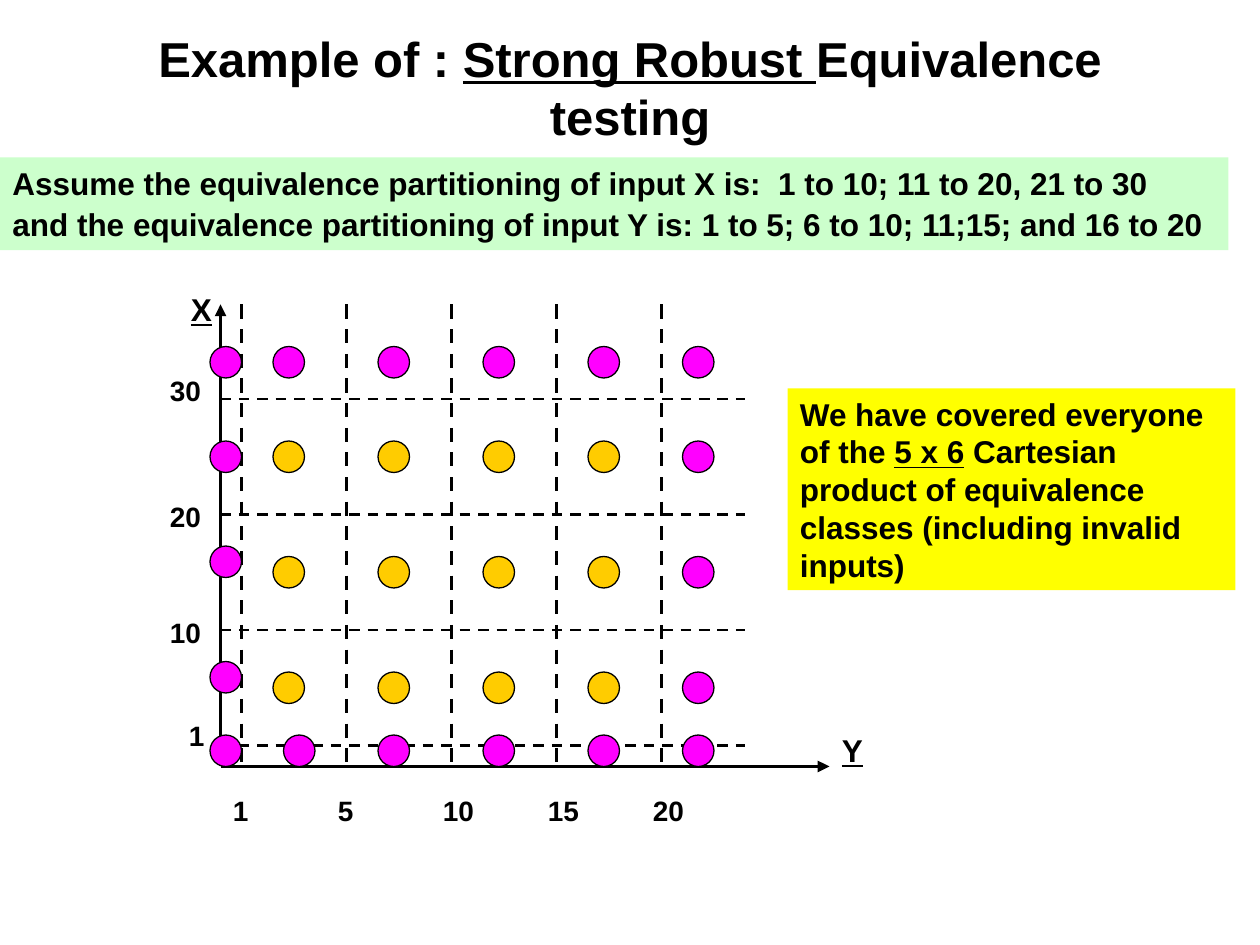
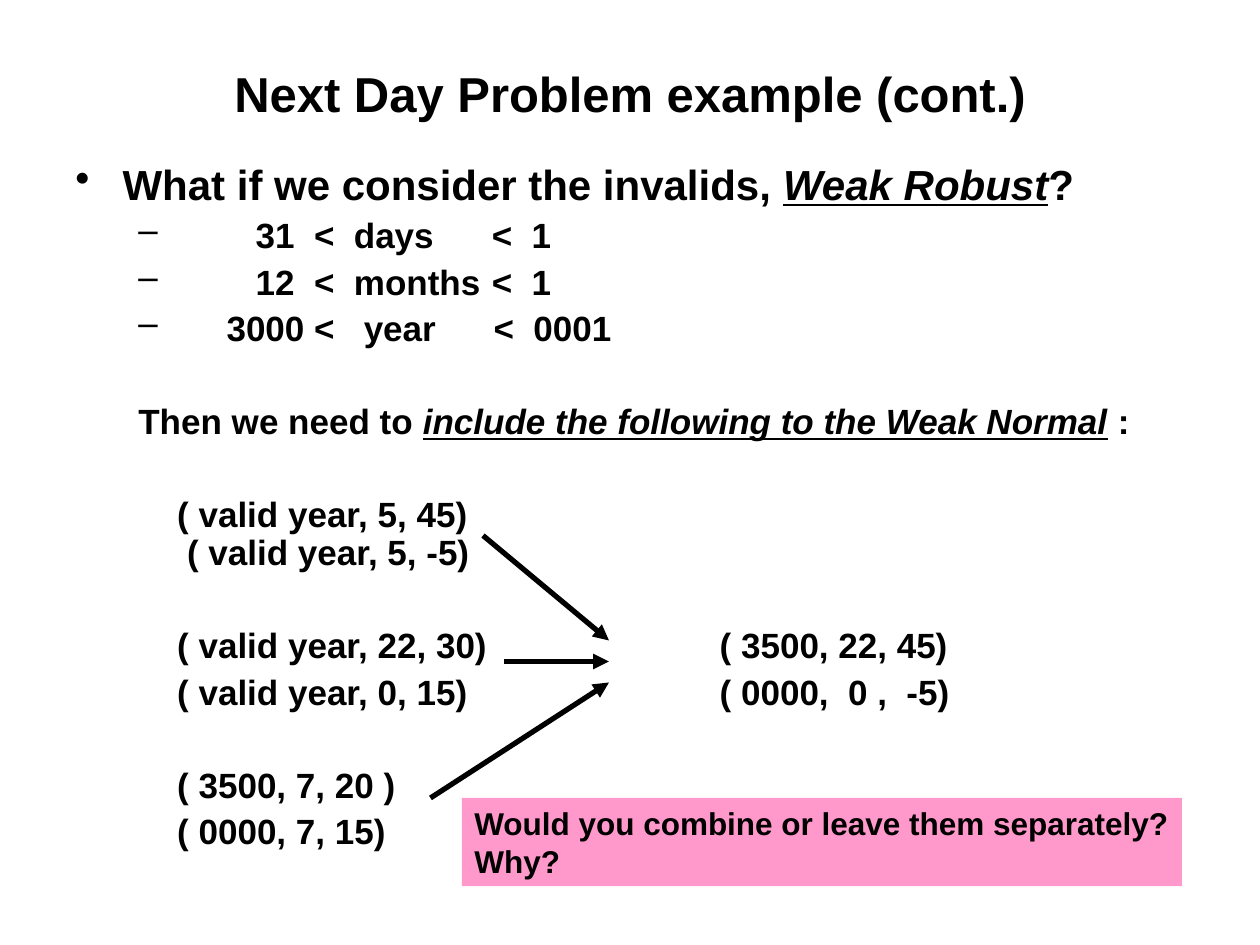
"""Build two slides on equivalence class testing."""
from dataclasses import dataclass
from typing import NamedTuple

from pptx import Presentation
from pptx.dml.color import RGBColor
from pptx.enum.dml import MSO_LINE
from pptx.enum.shapes import MSO_CONNECTOR, MSO_SHAPE
from pptx.enum.text import MSO_ANCHOR, MSO_AUTO_SIZE, PP_ALIGN
from pptx.oxml.ns import qn
from pptx.util import Pt
from lxml.etree import SubElement

COLORS = {
    "ink": "000000",
    "assumption": "CCFFCC",
    "coverage": "FFFF00",
    "question": "FF99CC",
    "valid": "FFCC00",
    "invalid": "FF00FF",
}
FONT = "Arial"
LEADING = 1.2
TIGHT = 1.08
ROW_GAP = 5
SECTION_GAP = 31.6
DOT = 18


class Span(NamedTuple):
    text: str
    underline: bool = False
    italic: bool = False


class Frame(NamedTuple):
    left: float
    top: float
    width: float
    height: float


@dataclass
class Para:
    spans: list[Span]
    size: float = 18
    before: float = 0
    left: float = 0
    hang: float = 0
    bullet: str = ""
    leading: float = LEADING
    align: PP_ALIGN = PP_ALIGN.LEFT


@dataclass
class Segment:
    start: tuple[float, float]
    end: tuple[float, float]
    weight: float
    dashed: bool = False
    arrow: bool = False


def color(name: str) -> RGBColor:
    return RGBColor.from_string(COLORS[name])


def plain(text: str, **options) -> Para:
    return Para([Span(text)], **options)


def write(text_frame, paras: list[Para]) -> None:
    for index, item in enumerate(paras):
        para = text_frame.paragraphs[0] if index == 0 else text_frame.add_paragraph()
        properties = para._p.get_or_add_pPr()
        properties.set("marL", str(Pt(item.left)))
        properties.set("indent", str(Pt(-item.hang)))
        if item.bullet:
            SubElement(properties, qn("a:buChar")).set("char", item.bullet)
        else:
            SubElement(properties, qn("a:buNone"))
        para.alignment = item.align
        para.line_spacing = Pt(round(item.size * item.leading, 1))
        para.space_before = Pt(item.before)
        for span in item.spans:
            run = para.add_run()
            run.text = span.text
            run.font.name = FONT
            run.font.size = Pt(item.size)
            run.font.bold = True
            run.font.italic = span.italic
            run.font.underline = span.underline
            run.font.color.rgb = color("ink")


def add_text(page, frame: Frame, paras: list[Para], fill: str = "", wrap: bool = False) -> None:
    box = page.shapes.add_textbox(*map(Pt, frame))
    if fill:
        box.fill.solid()
        box.fill.fore_color.rgb = color(fill)
    box.text_frame.word_wrap = wrap
    write(box.text_frame, paras)


def add_page(deck, title_height: float, title: list[Span]):
    page = deck.slides.add_slide(deck.slide_layouts[5])
    box = page.shapes.title
    box.left, box.top, box.width, box.height = map(Pt, (36, 21.6, 648, title_height))
    box.text_frame.auto_size = MSO_AUTO_SIZE.NONE
    box.text_frame.vertical_anchor = MSO_ANCHOR.MIDDLE
    write(box.text_frame, [Para(title, size=28, align=PP_ALIGN.CENTER)])
    return page


def add_segment(page, segment: Segment) -> None:
    line = page.shapes.add_connector(
        MSO_CONNECTOR.STRAIGHT, *map(Pt, segment.start + segment.end))
    line.line.color.rgb = color("ink")
    line.line.width = Pt(segment.weight)
    if segment.dashed:
        line.line.dash_style = MSO_LINE.DASH
    if segment.arrow:
        SubElement(line.line._get_or_add_ln(), qn("a:tailEnd")).set("type", "triangle")
    SubElement(line._element.spPr, qn("a:effectLst"))


def add_dot(page, left: float, top: float, fill: str) -> None:
    dot = page.shapes.add_shape(MSO_SHAPE.OVAL, *map(Pt, (left, top, DOT, DOT)))
    dot.shadow.inherit = False
    dot.fill.solid()
    dot.fill.fore_color.rgb = color(fill)
    dot.line.color.rgb = color("ink")
    dot.line.width = Pt(0.75)


def add_label(page, left: float, top: float, text: str) -> None:
    frame = Frame(left, top, 14.4 + 8.9 * len(text), 26.6)
    add_text(page, frame, [plain(text, size=16)])


def draw_grid(page) -> None:
    origin = (126, 438)
    add_segment(page, Segment(origin, (126, 174), 2.25, arrow=True))
    add_segment(page, Segment(origin, (474, 438), 2.25, arrow=True))
    for left, top, name in ((102, 162, "X"), (474, 414, "Y")):
        add_text(page, Frame(left, top, 26.4, 28.8), [Para([Span(name, underline=True)])])

    for row in range(4):
        height = 426 - 66 * row
        add_segment(page, Segment((126, height), (426, height), 1.5, dashed=True))
    for column, text in enumerate(("1", "5", "10", "15", "20")):
        across = 138 + 60 * column
        add_segment(page, Segment((across, 174), (across, 438), 2, dashed=True))
        add_label(page, across - 12, 450, text)
    for left, top, text in ((100.8, 407, "1"), (90, 348, "10"), (90, 282, "20"), (90, 210, "30")):
        add_label(page, left, top, text)

    inner_columns = [156 + 60 * column for column in range(4)]
    inner_rows = [252 + 66 * row for row in range(3)]
    for top in inner_rows:
        for left in inner_columns:
            add_dot(page, left, top, "valid")
        add_dot(page, 390, top, "invalid")
    for top in (198, 252, 312, 378, 420):
        add_dot(page, 120, top, "invalid")
    for left in inner_columns + [390]:
        add_dot(page, left, 198, "invalid")
    for left in [162] + inner_columns[1:] + [390]:
        add_dot(page, left, 420, "invalid")


def build_strong_robust(deck) -> None:
    page = add_page(deck, 56.2, [
        Span("Example of : "), Span("Strong Robust ", underline=True),
        Span("Equivalence testing")])
    add_text(page, Frame(0, 90, 702, 53), [
        plain("Assume the equivalence partitioning of input X is:  1 to 10; 11 to 20, 21 to 30"),
        plain("and the equivalence partitioning of input Y is: "
              "1 to 5; 6 to 10; 11;15; and 16 to 20 ", before=1.8),
    ], "assumption", wrap=True)
    draw_grid(page)
    add_text(page, Frame(450, 222, 256, 115.2), [
        plain("We have covered everyone"),
        Para([Span("of the "), Span("5 x 6", underline=True),
              Span(" Cartesian product of equivalence")]),
        plain("classes (including invalid"),
        plain("inputs)"),
    ], "coverage", wrap=True)


def body_row(text: str, before: float = ROW_GAP, left: float = 58.2, **options) -> Para:
    return plain(text, size=20, before=before, left=left, leading=TIGHT, **options)


def limit_row(text: str, left: float) -> Para:
    return body_row(text, left=left, hang=left - 36, bullet="–")


def build_next_day(deck) -> None:
    page = add_page(deck, 62.6, [Span("Next Day Problem example (cont.)")])
    add_text(page, Frame(36, 90, 648, 405), [
        Para([Span("What if we consider the invalids, "),
              Span("Weak Robust", underline=True, italic=True), Span("?")],
             size=24, left=27, hang=27, bullet="•", leading=TIGHT),
        limit_row("31  <  days", 103),
        limit_row("12  <  months", 103),
        limit_row("3000 <   year", 86.4),
        Para([Span("Then we need to "),
              Span("include the following to the Weak Normal", underline=True, italic=True),
              Span(" :")],
             size=20, before=SECTION_GAP, left=36, leading=TIGHT),
        body_row("( valid year, 5, 45)", SECTION_GAP),
        body_row("( valid year, 5, -5)", 0, left=63.8),
        body_row("( valid year, 22, 30)", SECTION_GAP),
        body_row("( valid year, 0, 15)"),
        body_row("( 3500, 7, 20 )", SECTION_GAP),
        body_row("( 0000, 7, 15)"),
    ], wrap=True)
    add_text(page, Frame(274, 121, 100, 82), [
        body_row("<  1", 0, left=0),
        body_row("<  1", left=0),
        body_row("<  0001", left=1),
    ], wrap=True)
    add_text(page, Frame(404.2, 355.2, 180, 56), [
        body_row("( 3500, 22, 45)", 0, left=0),
        body_row("( 0000,  0 ,  -5)", left=0),
    ], wrap=True)
    for start, end in (((276, 306), (348, 366)), ((288, 378), (348, 378)),
                       ((246, 456), (348, 390))):
        add_segment(page, Segment(start, end, 3, arrow=True))
    add_text(page, Frame(264, 456, 411.4, 50.4), [
        plain("Would you combine or leave them separately?"),
        plain("Why?"),
    ], "question")


def main() -> None:
    deck = Presentation()
    deck.slide_width, deck.slide_height = Pt(720), Pt(540)
    build_strong_robust(deck)
    build_next_day(deck)
    deck.save("out.pptx")


if __name__ == "__main__":
    main()
